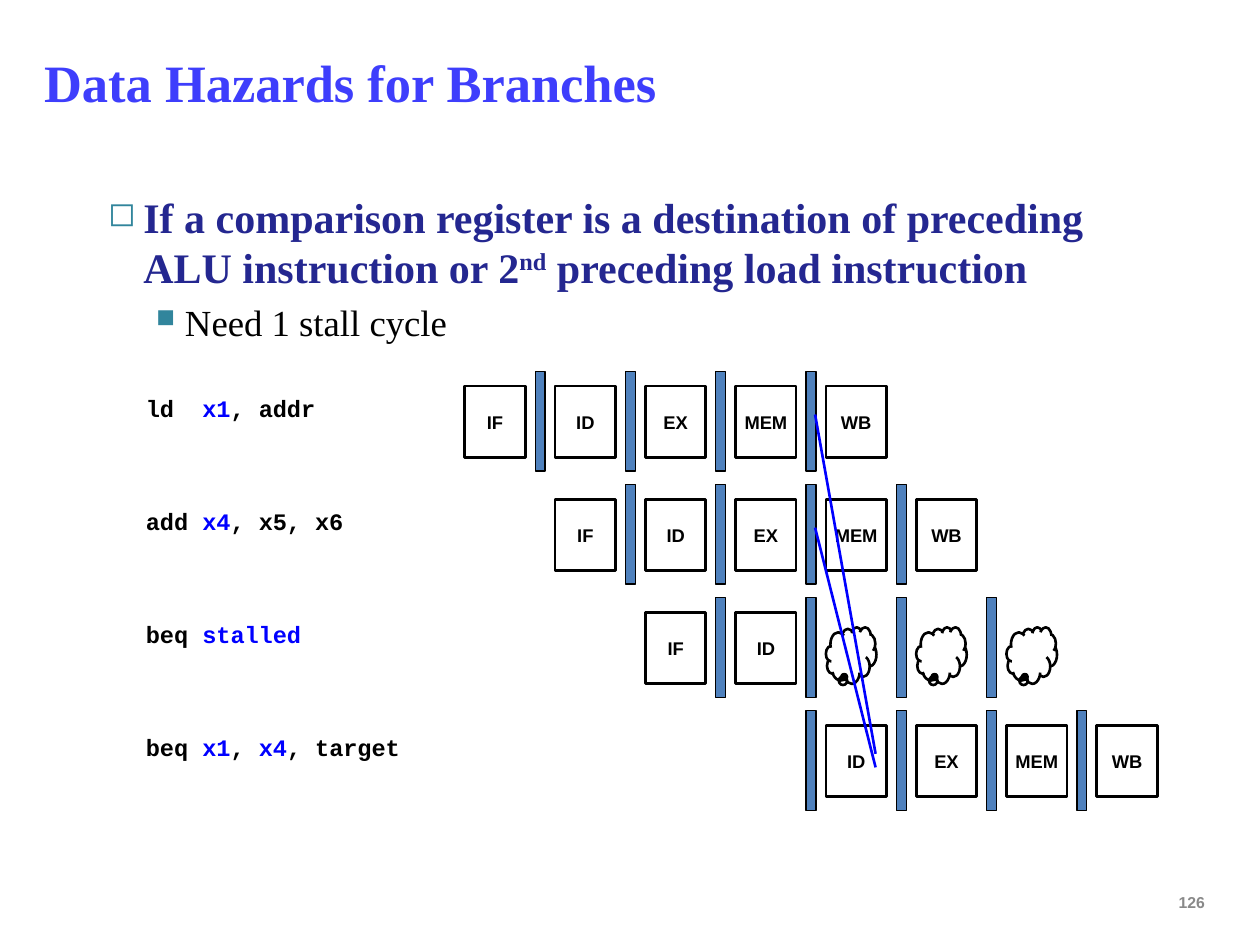
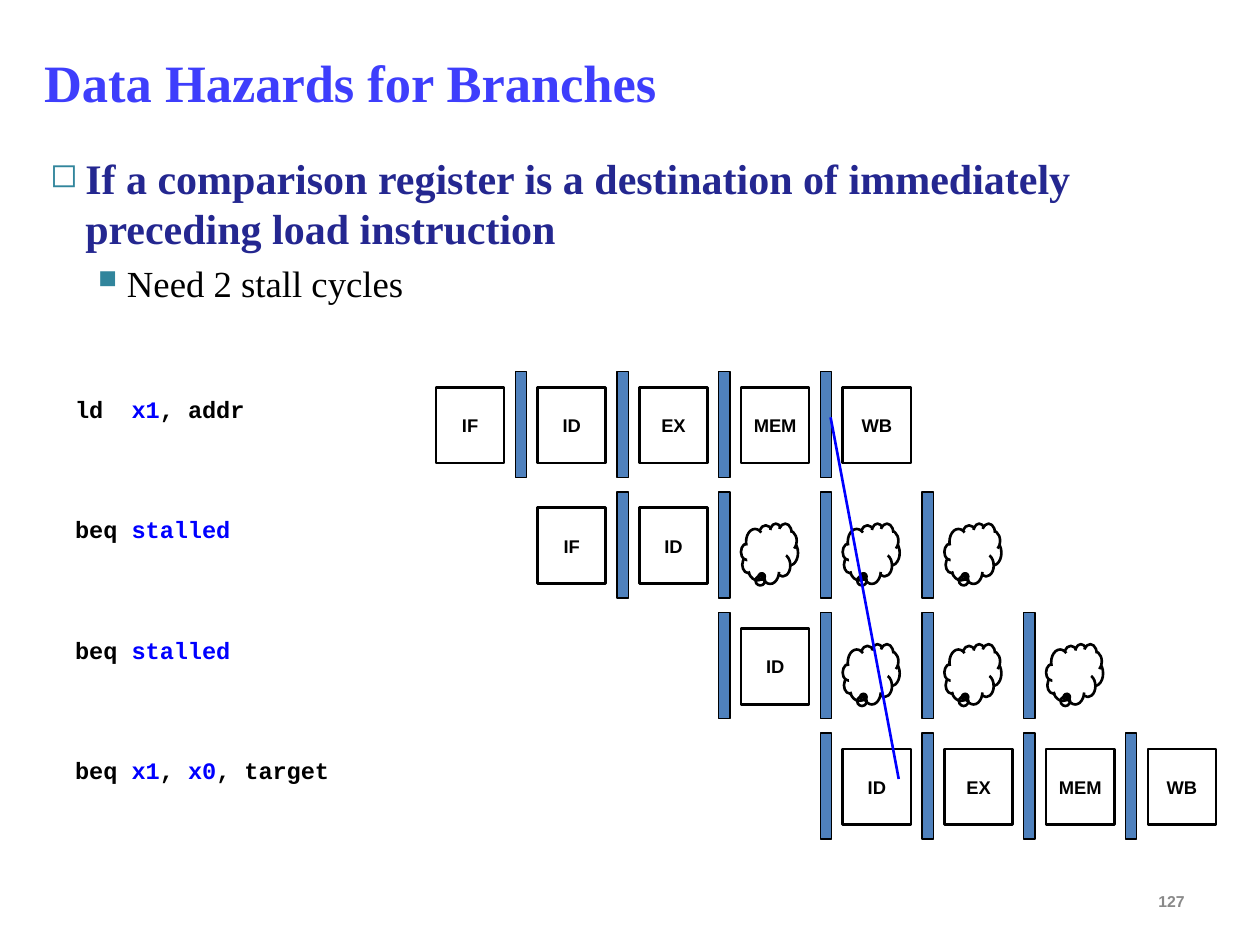
from lxml import etree
from pptx import Presentation
from pptx import util as u
from pptx.dml.color import RGBColor
from pptx.enum import shapes, text
from pptx.oxml.ns import qn

TITLE_BLUE = RGBColor(0x3E, 0x3E, 0xFC)
NAVY = RGBColor(0x24, 0x27, 0x90)
TEAL = RGBColor(0x31, 0x85, 0x9C)
STEEL = RGBColor(0x4F, 0x81, 0xBD)
BLUE = RGBColor(0x00, 0x00, 0xFF)
BLACK = RGBColor(0x00, 0x00, 0x00)
GREY = RGBColor(0x89, 0x89, 0x89)

SERIF, SANS, MONO = "Times New Roman", "Arial", "Courier New"
STALL = "stall"
FULL = ["IF", "ID", "EX", "MEM", "WB"]
STALLED = [STALL] * 3


class Deck:
    """Holds the presentation, the current slide and the pipeline grid."""

    def __init__(self):
        self.presentation = Presentation()
        self.presentation.slide_width = u.Cm(25.4)
        self.presentation.slide_height = u.Cm(19.05)

    def new_slide(self, number, number_left, number_top):
        """Start a slide with its title and number."""
        layout = self.presentation.slide_layouts[6]
        self.slide = self.presentation.slides.add_slide(layout)
        title = self.text_box(0.64, 0.33, 21.87, 2.64, middle=True)
        self.run(title.paragraphs[0], "Data Hazards for Branches", 30, SERIF, TITLE_BLUE)
        footer = self.text_box(number_left, number_top, 5.92, 1.02, middle=True)
        footer.paragraphs[0].alignment = text.PP_ALIGN.RIGHT
        self.run(footer.paragraphs[0], str(number), 9, SANS, GREY)

    def text_box(self, left, top, width, height, middle=False):
        """Add a wrapping text box and return its text frame."""
        box = self.slide.shapes.add_textbox(u.Cm(left), u.Cm(top), u.Cm(width), u.Cm(height))
        frame = box.text_frame
        frame.word_wrap = True
        frame.vertical_anchor = text.MSO_ANCHOR.MIDDLE if middle else text.MSO_ANCHOR.TOP
        return frame

    def run(self, paragraph, words, size, font, color, bold=True):
        """Add one styled run to a paragraph."""
        run = paragraph.add_run()
        run.text = words
        run.font.size = u.Pt(size)
        run.font.name = font
        run.font.bold = bold
        run.font.color.rgb = color
        return run

    def bullet(self, paragraph, symbol, percent, margin, hang):
        """Give a paragraph a teal bullet with a hanging indent."""
        properties = paragraph._p.get_or_add_pPr()
        properties.set("marL", str(u.Cm(margin)))
        properties.set("indent", str(-u.Cm(hang)))
        color = etree.SubElement(properties, qn("a:buClr"))
        etree.SubElement(color, qn("a:srgbClr"), val=str(TEAL))
        etree.SubElement(properties, qn("a:buSzPct"), val=str(percent * 1000))
        etree.SubElement(properties, qn("a:buChar"), char=symbol)

    def body(self, box, claim, remedy):
        """Add the claim, whose odd pieces are superscript, and its remedy."""
        frame = self.text_box(*box)
        first = frame.paragraphs[0]
        self.bullet(first, "◻", 80, 0.71, 0.71)
        for index, piece in enumerate(claim.split("^")):
            run = self.run(first, piece, 24, SERIF, NAVY)
            if index % 2:
                run._r.get_or_add_rPr().set("baseline", "30000")
        second = frame.add_paragraph()
        self.bullet(second, "■", 70, 1.55, 0.58)
        second.space_before = u.Pt(4.2)
        self.run(second, remedy, 21, SERIF, BLACK, bold=False)

    def set_grid(self, left, top, column_pitch, row_pitch):
        """Set the origin and pitches of the pipeline grid in centimetres."""
        self.left, self.top = left, top
        self.column_pitch, self.row_pitch = column_pitch, row_pitch

    def place(self, column, row):
        """Return the slide position in centimetres of a grid position."""
        return self.left + column * self.column_pitch, self.top + row * self.row_pitch

    def cell_shape(self, kind, column, row, width, height, line_width=1.5, fill=None):
        """Add an outlined shape measured in grid units."""
        x, y = self.place(column, row)
        shape = self.slide.shapes.add_shape(
            kind, u.Cm(x), u.Cm(y),
            u.Cm(width * self.column_pitch), u.Cm(height * self.row_pitch))
        shape.shadow.inherit = False
        if fill is None:
            shape.fill.background()
        else:
            shape.fill.solid()
            shape.fill.fore_color.rgb = fill
        shape.line.color.rgb = BLACK
        shape.line.width = u.Pt(line_width)
        return shape

    def stage(self, name, column, row):
        """Add a named pipeline stage."""
        shape = self.cell_shape(shapes.MSO_SHAPE.RECTANGLE, column, row + 0.13, 0.67, 0.63)
        frame = shape.text_frame
        frame.word_wrap = False
        frame.vertical_anchor = text.MSO_ANCHOR.MIDDLE
        frame.paragraphs[0].alignment = text.PP_ALIGN.CENTER
        self.run(frame.paragraphs[0], name, 10.5, SANS, BLACK)

    def bubble(self, column, row):
        """Add the cloud that marks a stalled stage."""
        cloud = self.cell_shape(shapes.MSO_SHAPE.CLOUD_CALLOUT, column, row + 0.26, 0.56, 0.5)
        cloud.adjustments[0] = -0.13
        cloud.adjustments[1] = 0.36

    def register(self, column, row):
        """Add the pipeline register in front of a stage."""
        self.cell_shape(shapes.MSO_SHAPE.RECTANGLE, column - 0.22, row, 0.11, 0.88,
                        line_width=0.75, fill=STEEL)

    def code(self, instruction, row):
        """Add an instruction, whose odd pieces are highlighted."""
        x, y = self.place(-3.67, row + 0.14)
        frame = self.text_box(x, y, 4.23 * self.column_pitch, 0.69 * self.row_pitch)
        for index, piece in enumerate(instruction.split("|")):
            self.run(frame.paragraphs[0], piece, 13.5, MONO, BLUE if index % 2 else BLACK)

    def pipeline(self, instructions):
        """Add one row for each instruction, start column and stage list."""
        for row, (instruction, start, stages) in enumerate(instructions):
            self.code(instruction, row)
            for column, name in enumerate(stages, start):
                if name != "IF":
                    self.register(column, row)
                if name == STALL:
                    self.bubble(column, row)
                else:
                    self.stage(name, column, row)

    def forward(self, from_row, to_row):
        """Draw a forwarding line from a register to the last ID stage."""
        ends = self.place(3.88, from_row) + self.place(4.55, to_row)
        line = self.slide.shapes.add_connector(
            shapes.MSO_CONNECTOR.STRAIGHT, *[u.Cm(end) for end in ends])
        line.line.color.rgb = BLUE
        line.line.width = u.Pt(1.5)
        etree.SubElement(line._element.spPr, qn("a:effectLst"))


def main():
    deck = Deck()

    deck.new_slide(126, 18.62, 17.68)
    deck.body((1.93, 3.73, 21.39, 4.95),
              "If a comparison register is a destination of preceding "
              "ALU instruction or 2^nd^ preceding load instruction",
              "Need 1 stall cycle")
    deck.set_grid(9.37, 7.49, 1.82, 2.28)
    deck.pipeline([
        ("ld  |x1|, addr", 0, FULL),
        ("add |x4|, x5, x6", 1, FULL),
        ("beq |stalled", 2, ["IF", "ID"] + STALLED),
        ("beq |x1|, |x4|, target", 4, FULL[1:]),
    ])
    deck.forward(0.38, 3.38)
    deck.forward(1.38, 3.5)

    deck.new_slide(127, 18.21, 17.65)
    deck.body((0.76, 2.95, 23.37, 6.3),
              "If a comparison register is a destination of immediately "
              "preceding load instruction",
              "Need 2 stall cycles")
    deck.set_grid(8.79, 7.49, 2.05, 2.43)
    deck.pipeline([
        ("ld  |x1|, addr", 0, FULL),
        ("beq |stalled", 1, ["IF", "ID"] + STALLED),
        ("beq |stalled", 3, ["ID"] + STALLED),
        ("beq |x1|, |x0|, target", 4, FULL[1:]),
    ])
    deck.forward(0.38, 3.38)

    deck.presentation.save("out.pptx")


if __name__ == "__main__":
    main()
